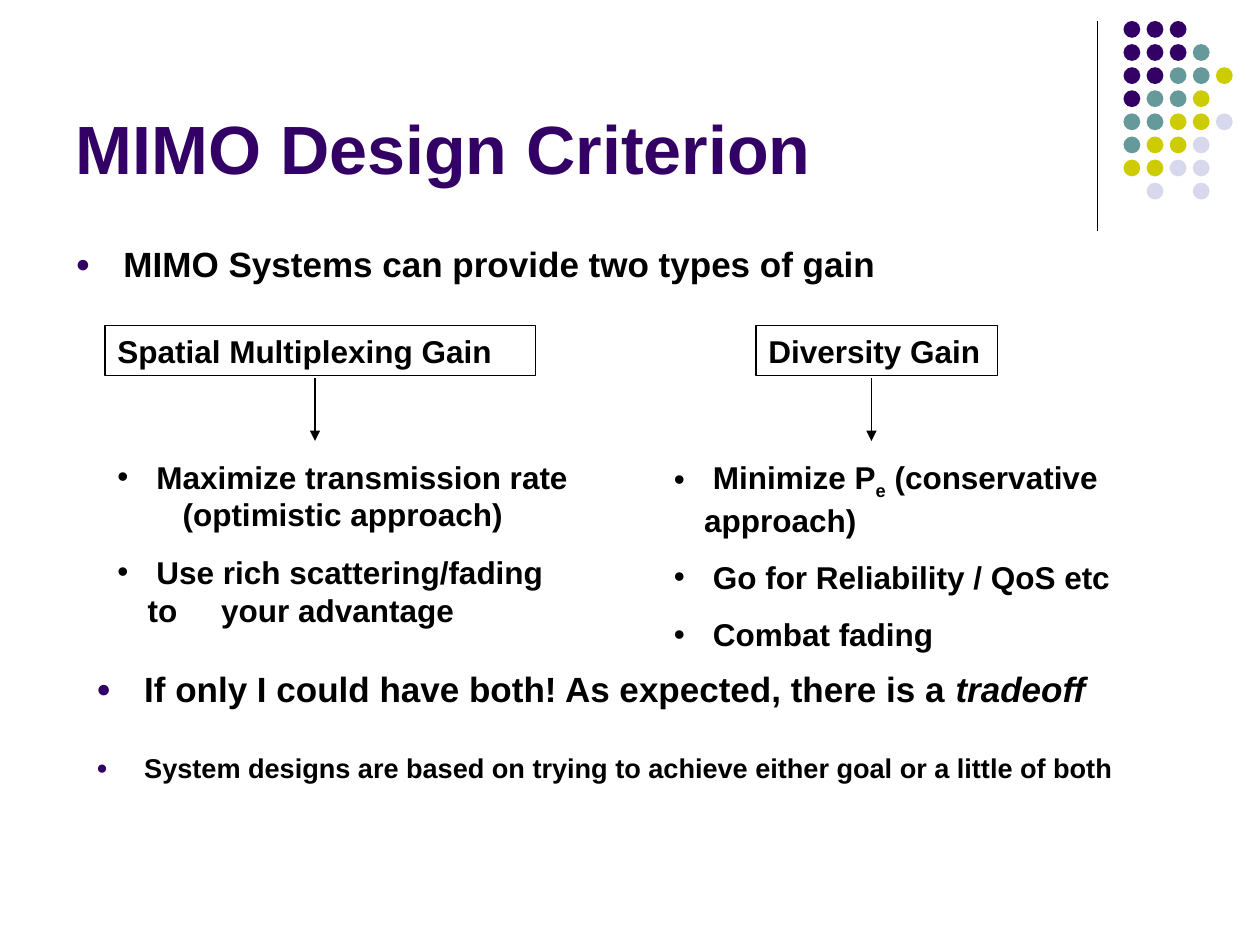
from dataclasses import dataclass

from lxml import etree
from pptx import Presentation
from pptx import util as u
from pptx.dml.color import RGBColor
from pptx.enum import shapes, text
from pptx.oxml.ns import qn


@dataclass(frozen=True)
class Theme:
    font: str = "Arial"
    ink: str = "000000"
    purple: str = "330066"
    teal: str = "669999"
    lime: str = "CCCC00"
    mist: str = "D8D8EC"
    title: float = 39
    lead: float = 20
    label: float = 18
    small: float = 15.5
    line: float = 0.75


BREAK = "\v"
WIDE, WIDER = {"spc": "1500"}, {"spc": "2000"}
ITALIC, SUBSCRIPT = {"i": "1"}, {"baseline": "-25000"}


class Deck:
    COLS, ROWS = 120, 90  # twelve grid units to the inch

    def __init__(self, theme):
        self.theme = theme
        self.prs = Presentation()
        self.prs.slide_width, self.prs.slide_height = u.Inches(10), u.Inches(7.5)
        self.s = self.prs.slides.add_slide(self.prs.slide_layouts[1])

    def x(self, cols):
        return round(self.prs.slide_width * cols / self.COLS)

    def y(self, rows):
        return round(self.prs.slide_height * rows / self.ROWS)

    def box(self, left, top, width, height):
        return self.x(left), self.y(top), self.x(width), self.y(height)

    def place(self, sp, box):
        sp.left, sp.top, sp.width, sp.height = self.box(*box)

    def frame(self, sp, anchor=text.MSO_ANCHOR.TOP):
        tf = sp.text_frame
        tf.word_wrap = True
        tf.auto_size = text.MSO_AUTO_SIZE.NONE
        tf.vertical_anchor = anchor
        return tf

    def set_text(self, p, pieces, size, color, before=0):
        """Fill a paragraph; a piece is a string or (string, run attributes)."""
        p.alignment = text.PP_ALIGN.LEFT
        p.space_before = u.Pt(before)
        for piece in pieces:
            if piece == BREAK:
                p.add_line_break()
                continue
            words, attrs = (piece, {}) if isinstance(piece, str) else piece
            r = p.add_run()
            r.text = words
            r.font.name, r.font.size, r.font.bold = self.theme.font, u.Pt(size), True
            r.font.color.rgb = RGBColor.from_string(color)
            for key, value in attrs.items():
                r._r.get_or_add_rPr().set(key, value)

    def bullet(self, p, char, color, percent, indent):
        pPr = p._p.get_or_add_pPr()
        pPr.set("marL", str(u.Inches(indent)))
        pPr.set("indent", str(-u.Inches(indent)))
        clr = etree.SubElement(pPr, qn("a:buClr"))
        etree.SubElement(clr, qn("a:srgbClr"), val=color)
        etree.SubElement(pPr, qn("a:buSzPct"), val=str(percent * 1000))
        etree.SubElement(pPr, qn("a:buFont"), typeface=self.theme.font)
        etree.SubElement(pPr, qn("a:buChar"), char=char)

    def title(self, words, box):
        sp = self.s.shapes.title
        self.place(sp, box)
        tf = self.frame(sp, text.MSO_ANCHOR.BOTTOM)
        self.set_text(tf.paragraphs[0], [words], self.theme.title, self.theme.purple)

    def lead(self, pieces, box, size, sp=None):
        sp = sp or self.s.shapes.add_textbox(*self.box(*box))
        self.place(sp, box)
        p = self.frame(sp).paragraphs[0]
        self.set_text(p, pieces, size, self.theme.ink, before=5)
        self.bullet(p, "●", self.theme.purple, 70, 0.38)

    def points(self, items, box):
        tf = self.frame(self.s.shapes.add_textbox(*self.box(*box)))
        for i, pieces in enumerate(items):
            p = tf.add_paragraph() if i else tf.paragraphs[0]
            self.set_text(p, pieces, self.theme.label, self.theme.ink, before=11.2)
            self.bullet(p, "•", self.theme.ink, 100, 0.24)

    def label(self, words, box):
        sp = self.s.shapes.add_shape(shapes.MSO_SHAPE.RECTANGLE, *self.box(*box))
        sp.shadow.inherit = False
        sp.fill.background()
        sp.line.color.rgb = RGBColor.from_string(self.theme.ink)
        sp.line.width = u.Pt(self.theme.line)
        p = self.frame(sp).paragraphs[0]
        self.set_text(p, [words], self.theme.label, self.theme.ink, before=11.2)

    def vertical(self, col, top, bottom, arrow=False):
        c = self.s.shapes.add_connector(
            shapes.MSO_CONNECTOR.STRAIGHT,
            self.x(col), self.y(top), self.x(col), self.y(bottom))
        c.line.color.rgb = RGBColor.from_string(self.theme.ink)
        c.line.width = u.Pt(self.theme.line)
        spPr = c._element.spPr
        if arrow:
            etree.SubElement(spPr.find(qn("a:ln")), qn("a:tailEnd"), type="triangle")
        etree.SubElement(spPr, qn("a:effectLst"))

    def dots(self, rows, left, top, pitch, size):
        colors = {"P": self.theme.purple, "T": self.theme.teal,
                  "L": self.theme.lime, "M": self.theme.mist}
        group = self.s.shapes.add_group_shape()
        for j, row in enumerate(rows):
            for i, key in enumerate(row):
                if key not in colors:
                    continue
                sp = group.shapes.add_shape(
                    shapes.MSO_SHAPE.OVAL,
                    *self.box(left + i * pitch, top + j * pitch, size, size))
                sp.shadow.inherit = False
                sp.fill.solid()
                sp.fill.fore_color.rgb = RGBColor.from_string(colors[key])
                sp.line.fill.background()


def main():
    theme = Theme()
    d = Deck(theme)

    # Corner decoration
    d.vertical(104.5, 2, 22)
    d.dots(["PPP", "PPPT", "PPTTL", "PTTL", "TTLLM", "TLLM", "LLMM", ".M.M"],
           left=107, top=2, pitch=2.2, size=1.6)

    # Title and opening point
    d.title("MIMO Design Criterion", (6, 1.5, 99, 17))
    d.lead(["MIMO Systems can provide two types of gain"], (6, 22.5, 108, 6.5),
           theme.lead, d.s.placeholders[1])

    # Two kinds of gain: label, arrow, points
    d.label("Spatial Multiplexing Gain", (10, 31, 41, 4.8))
    d.label("Diversity Gain", (72, 31, 23, 4.8))
    for col in (30, 83):
        d.vertical(col, 36, 42, arrow=True)
    d.points([
        [" Maximize transmission rate", BREAK, (" ", WIDE), "(optimistic approach)"],
        [" Use rich scattering/fading to", (" ", WIDER), "your advantage"],
    ], (10, 43, 46, 17.5))
    d.points([
        [" Minimize P", ("e", SUBSCRIPT), " (conservative approach)"],
        [" Go for Reliability / QoS etc"],
        [" Combat fading"],
    ], (63, 43, 46, 20))

    # Closing points
    d.lead(["If only I could have both! As expected, there is a ", ("tradeoff", ITALIC)],
           (8, 63, 108, 6.5), theme.lead)
    d.lead(["System designs are based on trying to achieve either goal or a little of both"],
           (8, 71, 108, 6.5), theme.small)

    d.prs.save("out.pptx")


if __name__ == "__main__":
    main()
